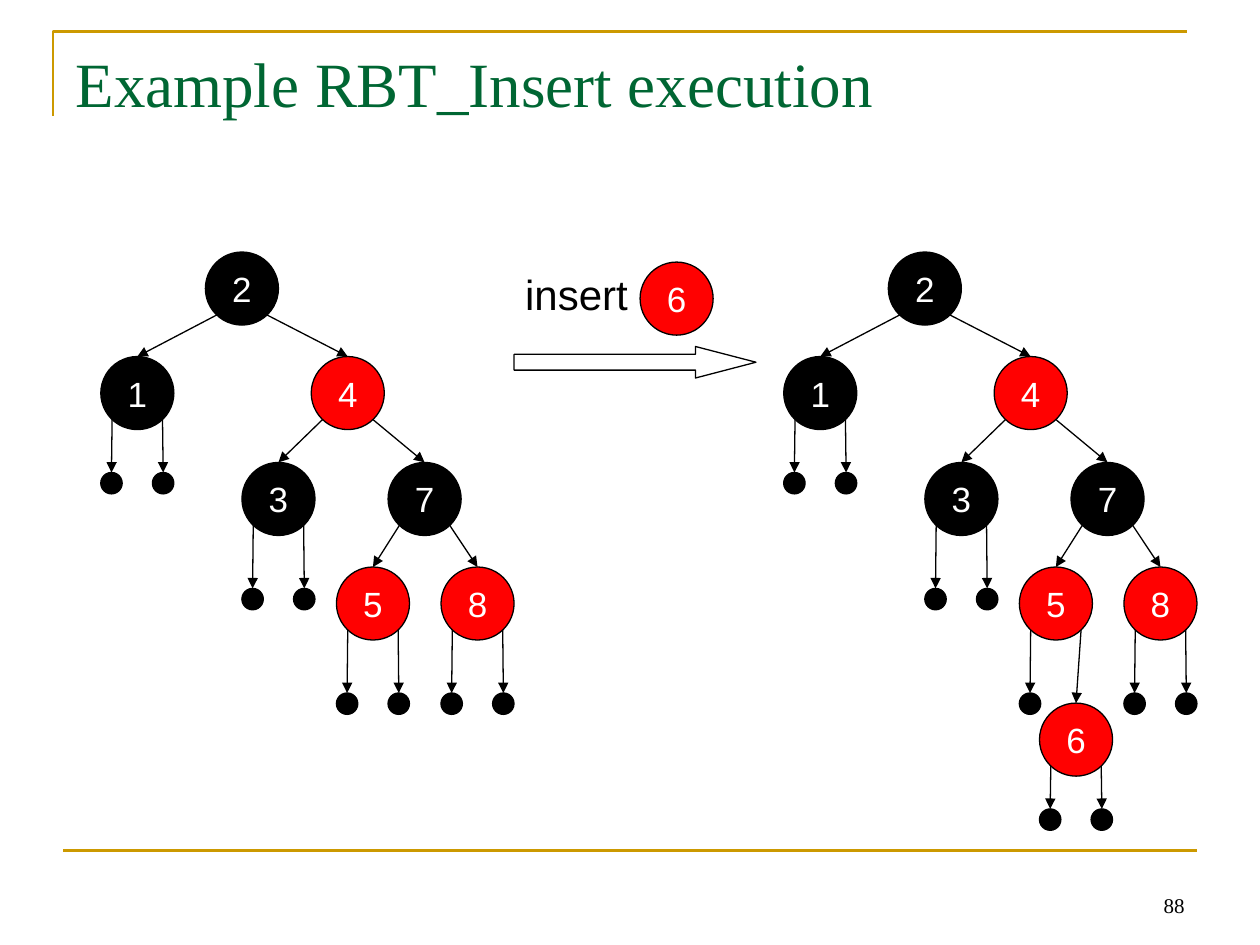
from lxml.etree import SubElement
from pptx import Presentation
from pptx.dml.color import RGBColor
from pptx.enum.shapes import MSO_CONNECTOR, MSO_SHAPE
from pptx.enum.text import MSO_ANCHOR, MSO_AUTO_SIZE, PP_ALIGN
from pptx.oxml.ns import qn
from pptx.util import Inches, Pt

# Content
TITLE = "Example RBT_Insert execution"
PAGE_NUMBER = "88"
C = {"black": "000000", "red": "FF0101", "white": "FFFFFF",
     "title": "006633", "rule": "CC9900"}

# key: (colour, left, top, top of nil leaves, left child, right child)
BEFORE = {
    "2": ("black", 1.63, 2.00, None, "1", "4"),
    "1": ("black", 0.80, 2.83, 3.75, None, None),
    "4": ("red", 2.47, 2.83, None, "3", "7"),
    "3": ("black", 1.92, 3.67, 4.67, None, None),
    "7": ("black", 3.08, 3.67, None, "5", "8"),
    "5": ("red", 2.67, 4.50, 5.50, None, None),
    "8": ("red", 3.50, 4.50, 5.50, None, None),
}
AFTER = BEFORE | {
    "5": ("red", 2.67, 4.50, 5.50, None, "6"),
    "6": ("red", 2.83, 5.58, 6.42, None, None),
}
AFTER_SHIFT = 5.42
NODE, LEAF = 0.58, 0.17
EDGE_DX, EDGE_DY = 0.09, 0.5  # where edges leave a node


def rgb(name):
    return RGBColor.from_string(C[name])


def set_font(p, size, color, name="Arial"):
    p.font.size, p.font.name, p.font.color.rgb = Pt(size), name, rgb(color)


def add_line(x1, y1, x2, y2, color="black", width=0.75, arrow=False):
    line = s.shapes.add_connector(
        MSO_CONNECTOR.STRAIGHT, Inches(x1), Inches(y1), Inches(x2), Inches(y2))
    line.line.color.rgb, line.line.width = rgb(color), Pt(width)
    if arrow:
        SubElement(line.line._get_or_add_ln(), qn("a:tailEnd"), type="triangle")
    SubElement(line._element.spPr, qn("a:effectLst"))


def add_shape(kind, x, y, w, h, fill=None):
    sp = s.shapes.add_shape(kind, Inches(x), Inches(y), Inches(w), Inches(h))
    sp.shadow.inherit = False
    if fill:
        sp.fill.solid()
        sp.fill.fore_color.rgb = rgb(fill)
    else:
        sp.fill.background()
    sp.line.color.rgb, sp.line.width = rgb("black"), Pt(0.75)
    return sp


def add_node(key, color, x, y):
    tf = add_shape(MSO_SHAPE.OVAL, x, y, NODE, NODE, color).text_frame
    tf.word_wrap = False
    tf.vertical_anchor = MSO_ANCHOR.MIDDLE
    tf.margin_left = tf.margin_right = tf.margin_top = tf.margin_bottom = 0
    p = tf.paragraphs[0]
    p.text, p.alignment = key, PP_ALIGN.CENTER
    set_font(p, 20, "white")


def add_text(text, x, y, w, h, size, align, anchor, font="Arial"):
    tf = s.shapes.add_textbox(Inches(x), Inches(y), Inches(w), Inches(h)).text_frame
    tf.word_wrap, tf.vertical_anchor = True, anchor
    p = tf.paragraphs[0]
    p.text, p.alignment = text, align
    set_font(p, size, "black", font)
    return tf


def add_tree(tree, shift=0):
    for key, (color, x, y, leaf_top, *children) in tree.items():
        x += shift
        add_node(key, color, x, y)
        starts = (x + EDGE_DX, x + NODE - EDGE_DX)
        leaf_lefts = (x, x + NODE - LEAF)
        for start, leaf_left, child in zip(starts, leaf_lefts, children):
            if child:
                _, child_left, end_y, *_ = tree[child]
                end_x = child_left + shift + NODE / 2
            else:
                add_shape(MSO_SHAPE.OVAL, leaf_left, leaf_top, LEAF, LEAF, "black")
                end_x, end_y = leaf_left + LEAF / 2, leaf_top
            add_line(start, y + EDGE_DY, end_x, end_y, arrow=True)


prs = Presentation()
prs.slide_width, prs.slide_height = Inches(10), Inches(7.5)
s = prs.slides.add_slide(prs.slide_layouts[5])

# Frame rules
builder = s.shapes.build_freeform(Inches(0.42), Inches(0.92))
builder.add_line_segments(
    [(Inches(0.42), Inches(0.25)), (Inches(9.42), Inches(0.25))], close=False)
corner = builder.convert_to_shape()
corner.shadow.inherit = False
corner.fill.background()
corner.line.color.rgb, corner.line.width = rgb("rule"), Pt(1.5)
add_line(0.5, 6.75, 9.5, 6.75, "rule", 1.5)

# Title and page number
title = s.shapes.title
title.left, title.top = Inches(0.5), Inches(0.3)
title.width, title.height = Inches(9), Inches(1.25)
tf = title.text_frame
tf.text = TITLE
tf.auto_size, tf.vertical_anchor = MSO_AUTO_SIZE.NONE, MSO_ANCHOR.TOP
tf.paragraphs[0].alignment = PP_ALIGN.LEFT
set_font(tf.paragraphs[0], 36, "title", "Times New Roman")
add_text(PAGE_NUMBER, 7.17, 6.83, 2.33, 0.5, 12, PP_ALIGN.RIGHT,
         MSO_ANCHOR.BOTTOM, "Times New Roman")

# Trees before and after the insertion
add_tree(BEFORE)
add_tree(AFTER, AFTER_SHIFT)

# Insert step between the trees
label = add_text("insert", 4.07, 2.08, 1.01, 0.5, 24, PP_ALIGN.CENTER, MSO_ANCHOR.TOP)
label.word_wrap = False
label.auto_size = MSO_AUTO_SIZE.SHAPE_TO_FIT_TEXT
label.margin_left = label.margin_right = Inches(0.05)
add_node("6", "red", 5.08, 2.08)
arrow = add_shape(MSO_SHAPE.RIGHT_ARROW, 4.08, 2.75, 1.92, 0.25)
arrow.adjustments[0], arrow.adjustments[1] = 0.5, 1.92

prs.save("out.pptx")
